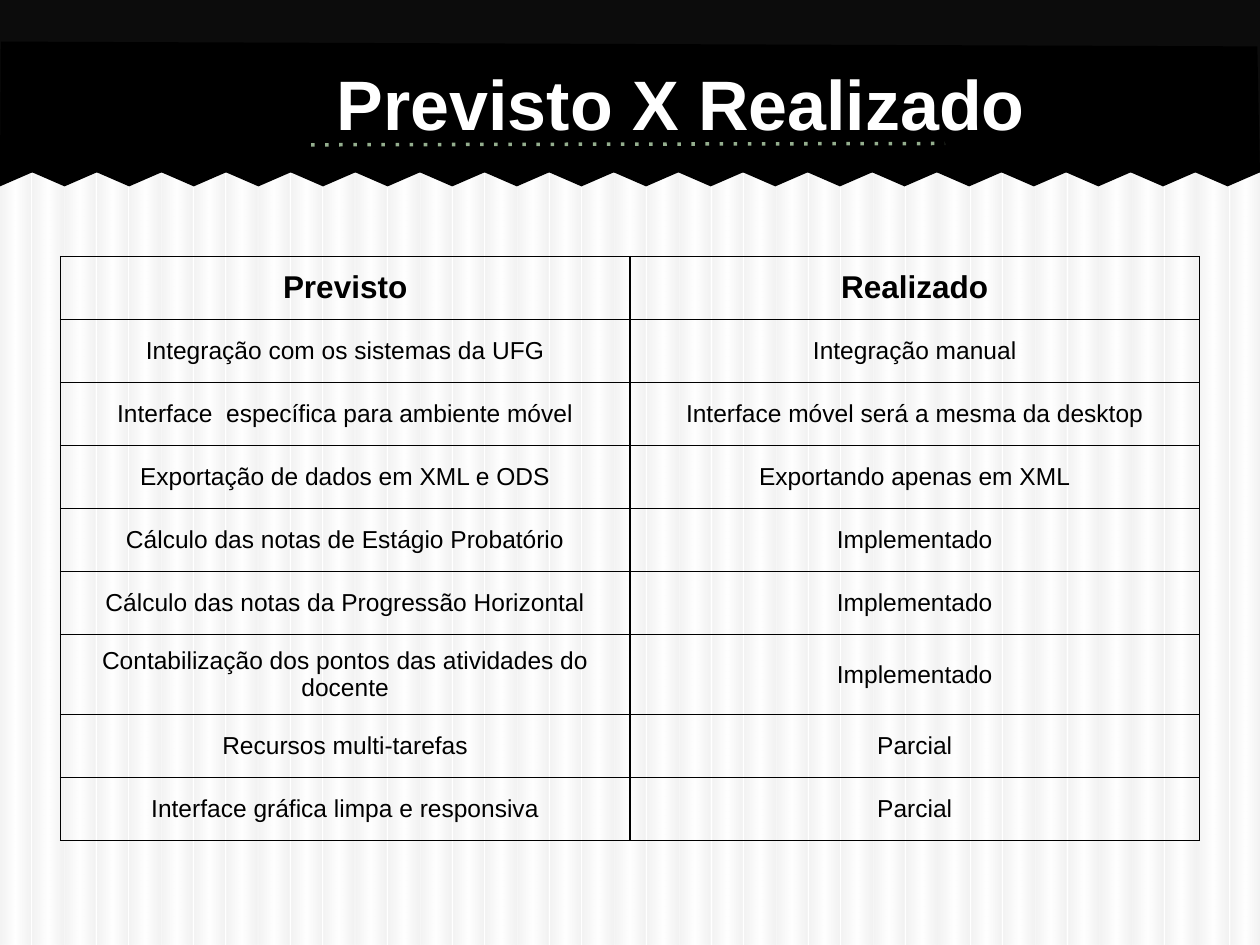
from lxml import etree
from pptx import Presentation
from pptx.dml.color import RGBColor
from pptx.enum.shapes import MSO_CONNECTOR, MSO_SHAPE
from pptx.enum.text import MSO_ANCHOR, MSO_AUTO_SIZE, PP_ALIGN
from pptx.oxml import parse_xml
from pptx.oxml.ns import nsdecls, qn
from pptx.util import Pt

STRAIGHT = MSO_CONNECTOR.STRAIGHT
RECTANGLE = MSO_SHAPE.RECTANGLE
MIDDLE = MSO_ANCHOR.MIDDLE
NO_AUTOFIT = MSO_AUTO_SIZE.NONE
CENTER = PP_ALIGN.CENTER

BLACK = RGBColor(0x00, 0x00, 0x00)
CHARCOAL = RGBColor(0x0C, 0x0C, 0x0C)
WHITE = RGBColor(0xFF, 0xFF, 0xFF)
GRAY = RGBColor(0xBF, 0xBF, 0xBF)
SAGE = RGBColor(0x94, 0xAE, 0x8E)

WIDTH, HEIGHT = 720, 540
TEETH = 39
STRIPE_PITCH = 18.5
MARGIN = Pt(7.2)

ROWS = [
    ("Previsto", "Realizado"),
    ("Integração com os sistemas da UFG", "Integração manual"),
    ("Interface  específica para ambiente móvel", "Interface móvel será a mesma da desktop"),
    ("Exportação de dados em XML e ODS", "Exportando apenas em XML"),
    ("Cálculo das notas de Estágio Probatório", "Implementado"),
    ("Cálculo das notas da Progressão Horizontal", "Implementado"),
    ("Contabilização dos pontos das atividades do docente", "Implementado"),
    ("Recursos multi-tarefas", "Parcial"),
    ("Interface gráfica limpa e responsiva", "Parcial"),
]


def add_text(paragraph, text, size=14, bold=False, color=BLACK):
    paragraph.alignment = CENTER
    run = paragraph.add_run()
    run.text = text
    run.font.name = "Arial"
    run.font.size = Pt(size)
    run.font.bold = bold
    run.font.color.rgb = color


def finish_shape(shape, color=None):
    """Remove shadow and outline, and fill with the color if one is given."""
    shape.shadow.inherit = False
    shape.line.fill.background()
    if color is not None:
        shape.fill.solid()
        shape.fill.fore_color.rgb = color


presentation = Presentation()
presentation.slide_width = Pt(WIDTH)
presentation.slide_height = Pt(HEIGHT)
slide = presentation.slides.add_slide(presentation.slide_layouts[5])
slide.background.fill.solid()
slide.background.fill.fore_color.rgb = WHITE
shapes = slide.shapes

# Translucent background stripes
gradient_stops = "".join(
    f'<a:gs pos="{position * 1000}"><a:srgbClr val="{color}"><a:alpha val="19000"/></a:srgbClr></a:gs>'
    for position, color in ((0, GRAY), (50, WHITE), (97, GRAY), (100, GRAY))
)
gradient_xml = (
    f'<a:gradFill {nsdecls("a")} rotWithShape="1"><a:gsLst>{gradient_stops}</a:gsLst>'
    '<a:lin ang="0" scaled="0"/></a:gradFill>'
)
for index in range(39):
    stripe = shapes.add_shape(RECTANGLE, Pt(index * STRIPE_PITCH), Pt(0.5), Pt(17.5), Pt(539.5))
    finish_shape(stripe)
    stripe._element.spPr.find(qn("a:prstGeom")).addnext(parse_xml(gradient_xml))

# Header band with a torn lower edge
header = shapes.add_shape(RECTANGLE, 0, 0, Pt(WIDTH), Pt(98.5))
finish_shape(header, CHARCOAL)

edge = [(WIDTH * tooth / TEETH, 98.5 if tooth % 2 else 106.5) for tooth in range(TEETH, -1, -1)]
builder = shapes.build_freeform(Pt(0.5), Pt(23.75), scale=1.0)
builder.add_line_segments([(Pt(x), Pt(y)) for x, y in [(718.5, 26.5)] + edge], close=True)
finish_shape(builder.convert_to_shape(), BLACK)

dotted_line = shapes.add_connector(STRAIGHT, Pt(177.75), Pt(82.75), Pt(540), Pt(82))
dotted_line.line.color.rgb = SAGE
dotted_line.line.width = Pt(2)
etree.SubElement(dotted_line.line._get_or_add_ln(), qn("a:prstDash"), val="dot")
etree.SubElement(dotted_line._element.spPr, qn("a:effectLst"))

# Title, brought in front of the header
title = shapes.title
shapes._spTree.append(title._element)
title.left, title.top, title.width, title.height = Pt(48.25), Pt(13.75), Pt(648), Pt(90)
frame = title.text_frame
frame.auto_size = NO_AUTOFIT
frame.word_wrap = True
frame.vertical_anchor = MIDDLE
frame.margin_left = frame.margin_right = frame.margin_top = frame.margin_bottom = MARGIN
title_paragraph = frame.paragraphs[0]
add_text(title_paragraph, " ", size=40, color=WHITE)
add_text(title_paragraph, "Previsto X Realizado", size=40, bold=True, color=WHITE)
title_paragraph._p.get_or_add_pPr().set("indent", str(Pt(22.5)))

# Comparison table
table = shapes.add_table(len(ROWS), 2, Pt(34.5), Pt(146.5), Pt(651), Pt(36 * len(ROWS))).table
table.first_row = False
table.horz_banding = False
for column in table.columns:
    column.width = Pt(325.5)
for row_index, texts in enumerate(ROWS):
    table.rows[row_index].height = Pt(36)
    is_heading = row_index == 0
    for column_index, text in enumerate(texts):
        cell = table.cell(row_index, column_index)
        cell.vertical_anchor = MIDDLE
        cell.margin_left = cell.margin_right = cell.margin_top = cell.margin_bottom = MARGIN
        add_text(cell.text_frame.paragraphs[0], text, size=18 if is_heading else 14, bold=is_heading)
        cell.fill.background()
        properties = cell._tc.get_or_add_tcPr()
        for position, side in enumerate(("lnL", "lnR", "lnT", "lnB")):
            properties.insert(position, parse_xml(
                f'<a:{side} {nsdecls("a")} w="{Pt(0.75)}"><a:solidFill>'
                f'<a:srgbClr val="{BLACK}"/></a:solidFill></a:{side}>'
            ))

presentation.save("out.pptx")
